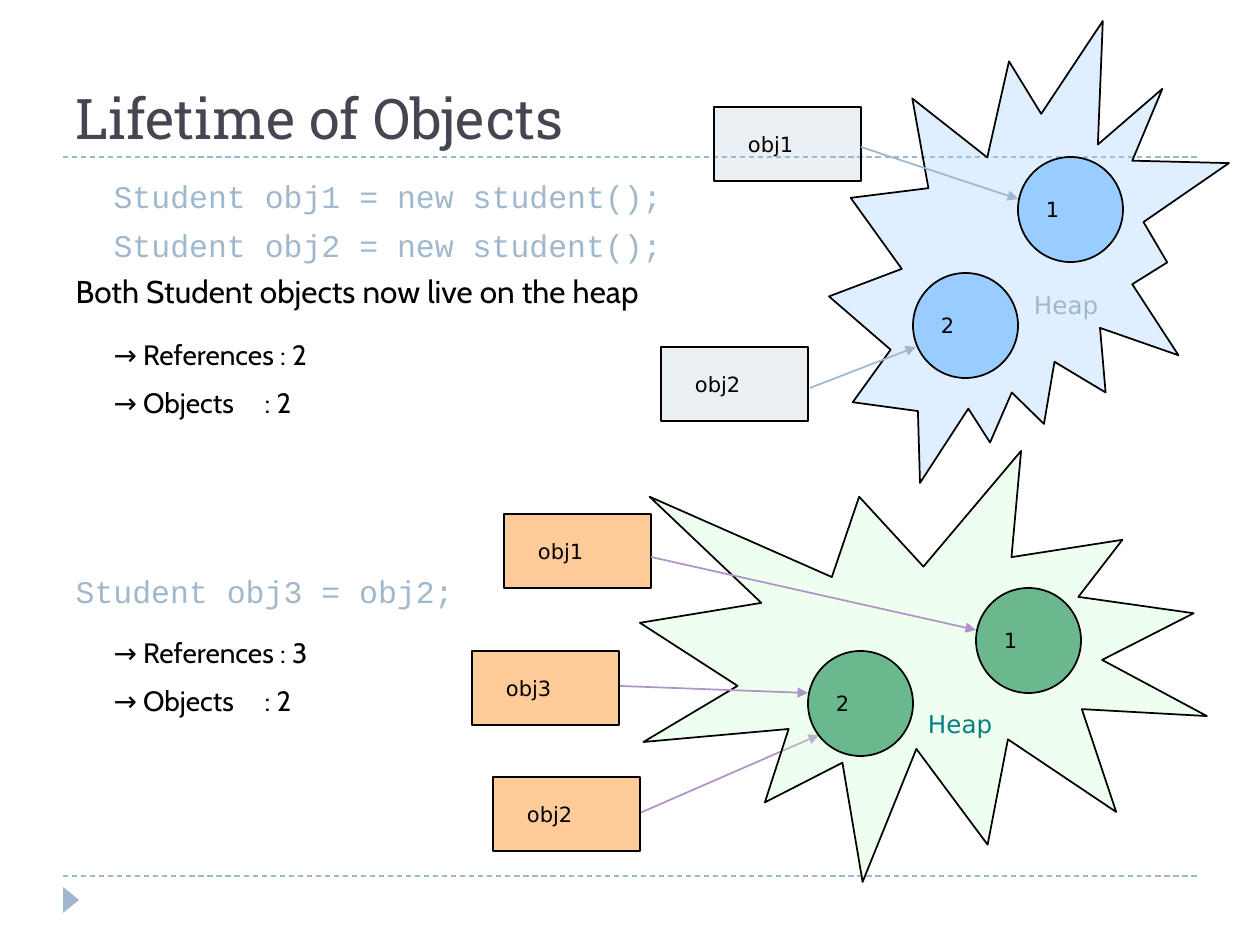
from lxml import etree
from pptx import Presentation
from pptx.dml.color import RGBColor
from pptx.enum.dml import MSO_LINE
from pptx.enum.shapes import MSO_CONNECTOR, MSO_SHAPE
from pptx.enum.text import MSO_ANCHOR, MSO_AUTO_SIZE, PP_ALIGN
from pptx.oxml.ns import qn
from pptx.util import Pt

STRAIGHT = MSO_CONNECTOR.STRAIGHT
RECT, OVAL, TRIANGLE = MSO_SHAPE.RECTANGLE, MSO_SHAPE.OVAL, MSO_SHAPE.ISOSCELES_TRIANGLE
BURST_1, BURST_2 = MSO_SHAPE.EXPLOSION1, MSO_SHAPE.EXPLOSION2
SCALE = 914400 // 126
BLACK, STEEL = "000000", "9FB8CD"


def px(*lengths):
    """Turn pixel lengths into a list of EMU."""
    return [length * SCALE for length in lengths]


def write(frame, text, size, font, color, new=False, before=0, line=None):
    """Write one formatted paragraph into a text frame and return it."""
    paragraph = frame.add_paragraph() if new else frame.paragraphs[0]
    paragraph.alignment = PP_ALIGN.LEFT
    paragraph.space_before = Pt(before)
    paragraph.line_spacing = line
    run = paragraph.add_run()
    run.text = text
    run.font.size, run.font.name = Pt(size), font
    run.font.color.rgb = RGBColor.from_string(color)
    return paragraph


def add_box(shapes, kind, box, fill, alpha=100, outline=BLACK):
    """Add a preset shape with a fill, an opacity in percent and an outline."""
    shape = shapes.add_shape(kind, *px(*box))
    shape.shadow.inherit = False
    shape.fill.solid()
    shape.fill.fore_color.rgb = RGBColor.from_string(fill)
    if alpha < 100:
        color = shape.fill._xPr.find(qn("a:solidFill"))[0]
        etree.SubElement(color, qn("a:alpha"), val=str(alpha * 1000))
    if outline:
        shape.line.color.rgb = RGBColor.from_string(outline)
        shape.line.width = Pt(1)
    else:
        shape.line.fill.background()
    return shape


def add_line(shapes, ends, color, width=1, arrow=True):
    """Add a straight arrow, or a dashed rule when arrow is False."""
    line = shapes.add_connector(STRAIGHT, *px(*ends))
    line.line.color.rgb = RGBColor.from_string(color)
    line.line.width = Pt(width)
    if arrow:
        etree.SubElement(line.line._get_or_add_ln(), qn("a:tailEnd"), type="triangle")
    else:
        line.line.dash_style = MSO_LINE.DASH
    etree.SubElement(line._element.spPr, qn("a:effectLst"))


def add_label(shapes, box, text, size, color, inset=13):
    """Add a text box holding one line."""
    frame = shapes.add_textbox(*px(*box)).text_frame
    frame.word_wrap = True
    frame.margin_left = inset * SCALE
    write(frame, text, size, "DejaVu Sans", color)


prs = Presentation()
prs.slide_width, prs.slide_height = px(1260, 945)
slide = prs.slides.add_slide(prs.slide_layouts[1])
title, body = slide.placeholders

for holder, box, anchor in [(title, (63, 21, 1134, 136), MSO_ANCHOR.BOTTOM),
                            (body, (63, 168, 1134, 680), MSO_ANCHOR.TOP)]:
    holder.left, holder.top, holder.width, holder.height = px(*box)
    holder.text_frame.auto_size = MSO_AUTO_SIZE.NONE
    holder.text_frame.vertical_anchor = anchor
write(title.text_frame, "Lifetime of Objects", 32, "Roboto Slab", "464653")

# Body lines: text, style, first-line indent, space before in points
CODE, PLAIN, COUNT = (18, "Courier New", STEEL), (18, "Cabin", BLACK), (16, "Cabin", BLACK)
body_lines = [
    ("Student obj1 = new student();", CODE, 38, 0),
    ("Student obj2 = new student();", CODE, 38, 6),
    ("Both Student objects now live on the heap", PLAIN, 0, 4.5),
    ("→ References : 2", COUNT, 38, 13),
    ("→ Objects\t: 2", COUNT, 38, 5.5),
    ("Student obj3 = obj2;", CODE, 0, 87),
    ("→ References : 3", COUNT, 38, 12),
    ("→ Objects\t: 2", COUNT, 38, 5.5),
]
body.text_frame.margin_top = 8 * SCALE
for number, (text, style, indent, before) in enumerate(body_lines):
    paragraph = write(body.text_frame, text, *style, new=number > 0,
                      before=before, line=Pt(22))
    properties = paragraph._p.get_or_add_pPr()
    properties.set("marL", "0")
    properties.set("indent", str(indent * SCALE))
    etree.SubElement(properties, qn("a:buNone"))
    tabs = etree.SubElement(properties, qn("a:tabLst"))
    etree.SubElement(tabs, qn("a:tab"), pos=str(195 * SCALE), algn="l")

for rule_y in (157, 876):
    add_line(slide.shapes, (63, rule_y, 1197, rule_y), STEEL, width=0.75, arrow=False)
marker = add_box(slide.shapes, TRIANGLE, (58, 892, 26, 16), STEEL, outline=None)
marker.rotation = 90

heaps = [
    dict(burst=(BURST_2, (829, 21, 400, 462), "99CCFF", 30),
         objects={"2": (913, 273), "1": (1018, 157)}, object_fill=("99CCFF", 100),
         heap_label=(998, 284), heap_color=STEEL,
         references={"obj1": (714, 107), "obj2": (661, 347)}, reference_fill=(STEEL, 20),
         arrow_color=STEEL, arrows_behind=[],
         arrows=[(861, 147, 1018, 199), (810, 388, 916, 347)]),
    dict(burst=(BURST_1, (640, 451, 567, 431), "CCFFCC", 30),
         objects={"2": (808, 651), "1": (976, 588)}, object_fill=("339966", 70),
         heap_label=(892, 703), heap_color="008080",
         references={"obj1": (504, 514), "obj2": (493, 777), "obj3": (472, 651)},
         reference_fill=("FFCC99", 100),
         arrow_color="B292CA", arrows_behind=[(640, 813, 819, 735)],
         arrows=[(651, 557, 976, 630), (620, 686, 808, 693)]),
]
for heap in heaps:
    shapes = slide.shapes.add_group_shape().shapes
    for ends in heap["arrows_behind"]:
        add_line(shapes, ends, heap["arrow_color"])
    add_box(shapes, *heap["burst"])
    for text, corner in heap["objects"].items():
        circle = add_box(shapes, OVAL, (*corner, 105, 105), *heap["object_fill"])
        circle.text_frame.vertical_anchor = MSO_ANCHOR.MIDDLE
        write(circle.text_frame, text, 12, "DejaVu Sans", BLACK)
    add_label(shapes, (*heap["heap_label"], 147, 42), "Heap", 14, heap["heap_color"], inset=36)
    for text, (left, top) in heap["references"].items():
        add_box(shapes, RECT, (left, top, 147, 74), *heap["reference_fill"])
        add_label(shapes, (left + 21, top + 18, 105, 38), text, 12, BLACK)
    for ends in heap["arrows"]:
        add_line(shapes, ends, heap["arrow_color"])

prs.save("out.pptx")
